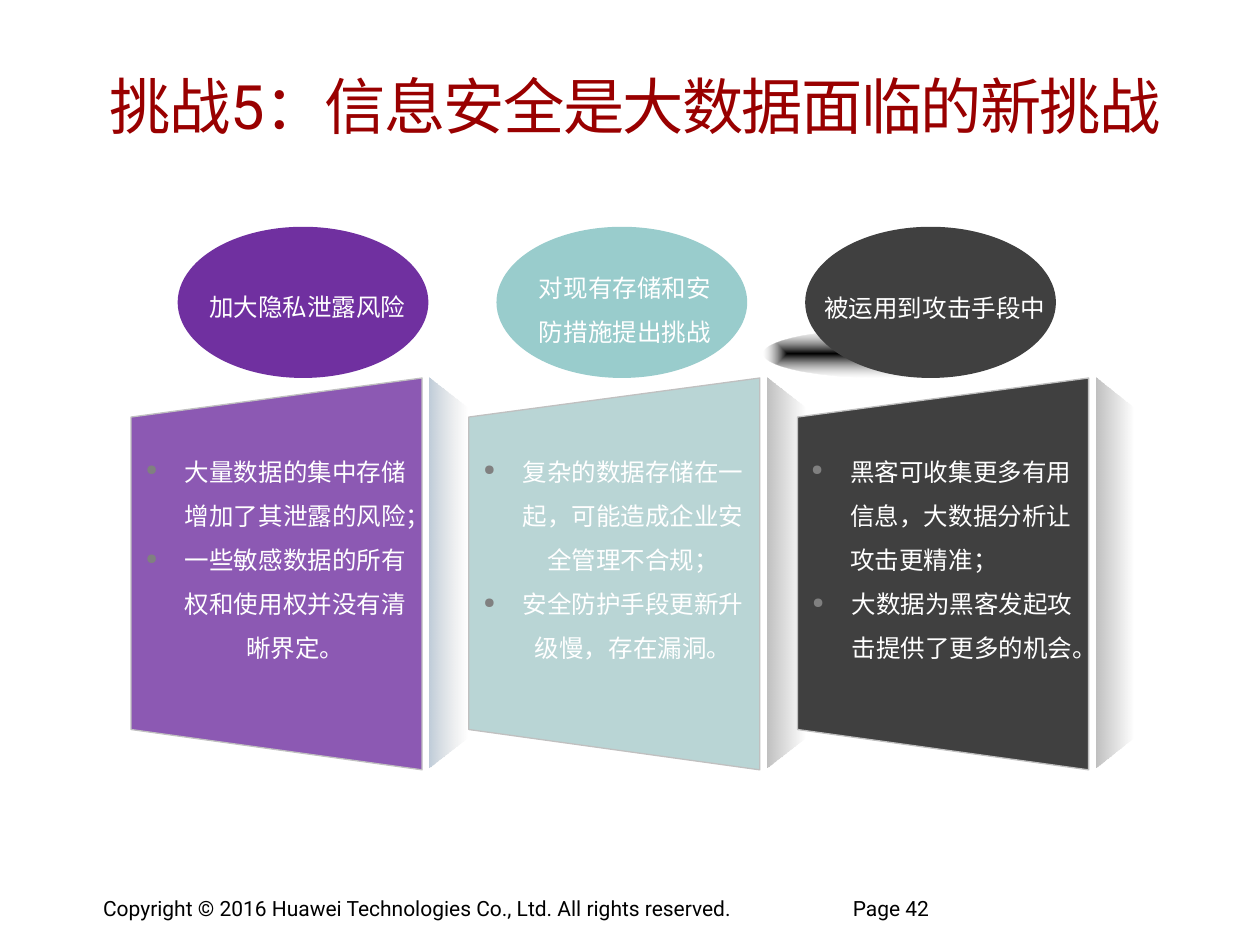
from dataclasses import dataclass

from pptx import Presentation
from pptx.dml.color import RGBColor
from pptx.enum.shapes import MSO_SHAPE
from pptx.enum.text import MSO_ANCHOR, MSO_AUTO_SIZE, PP_ALIGN
from pptx.oxml import parse_xml
from pptx.oxml.ns import nsdecls, qn
from pptx.util import Inches, Pt

OVAL = MSO_SHAPE.OVAL
MIDDLE = MSO_ANCHOR.MIDDLE
FIT_SHAPE = MSO_AUTO_SIZE.SHAPE_TO_FIT_TEXT
NO_FIT = MSO_AUTO_SIZE.NONE
LEFT, CENTER = PP_ALIGN.LEFT, PP_ALIGN.CENTER

PURPLE = RGBColor(0x70, 0x30, 0xA0)
TEAL = RGBColor(0x99, 0xCC, 0xCC)
PALE_TEAL = RGBColor(0xB9, 0xD5, 0xD5)
CHARCOAL = RGBColor(0x40, 0x40, 0x40)
NAVY = RGBColor(0x00, 0x33, 0x66)
SLATE = RGBColor(0x5F, 0x5F, 0x5F)
SILVER = RGBColor(0xC0, 0xC0, 0xC0)
ASH = RGBColor(0xB0, 0xB0, 0xB0)
GRAY = RGBColor(0x80, 0x80, 0x80)
DARK_RED = RGBColor(0x99, 0x00, 0x00)
BLACK = RGBColor(0x00, 0x00, 0x00)
WHITE = RGBColor(0xFF, 0xFF, 0xFF)

CJK_FONT = "Noto Sans CJK SC"
BODY = {"name": "Noto Sans", "size": Pt(14)}
FOOTER = {"name": "Roboto", "size": Pt(12)}
LINEAR = '<a:lin ang="0" scaled="0"/>'
RADIAL = ('<a:path path="shape"><a:fillToRect l="50000" t="50000" '
          'r="50000" b="50000"/></a:path>')


@dataclass
class Challenge:
    left: float
    oval_left: float
    label_box: tuple
    label: str
    points: list
    aligns: tuple
    oval_color: RGBColor
    panel_color: RGBColor
    panel_alpha: int
    fade: tuple


CHALLENGES = [
    Challenge(1.04, 1.41, (1.53, 2.15, 1.82, 0.45), "加大隐私泄露风险",
              ["大量数据的集中存储增加了其泄露的风险；",
               "一些敏感数据的所有权和使用权并没有清晰界定。"],
              (CENTER, CENTER), PURPLE, PURPLE, 80, (NAVY, SLATE)),
    Challenge(3.72, 3.94, (4.12, 2, 1.68, 0.76), "对现有存储和安防措施提出挑战",
              ["复杂的数据存储在一起，可能造成企业安全管理不合规；",
               "安全防护手段更新升级慢，存在漏洞。"],
              (CENTER, CENTER), TEAL, PALE_TEAL, 100, (BLACK, BLACK)),
    Challenge(6.33, 6.39, (6.38, 2.16, 2.08, 0.45), "被运用到攻击手段中",
              ["黑客可收集更多有用信息，大数据分析让攻击更精准；",
               "大数据为黑客发起攻击提供了更多的机会。"],
              (LEFT, CENTER), CHARCOAL, CHARCOAL, 100, (BLACK, BLACK)),
]


def add_span(para, text, color, formats):
    span = para.add_run()
    span.text = text
    for name, value in formats.items():
        setattr(span.font, name, value)
    span.font.color.rgb = color
    properties = span.font._element
    properties.append(parse_xml(f'<a:ea {nsdecls("a")} typeface="{CJK_FONT}"/>'))
    return properties


def add_text(page, box, paragraphs, aligns, color, formats,
             spacing=None, bullets=False, wrap=True):
    frame = page.shapes.add_textbox(*map(Inches, box)).text_frame
    frame.word_wrap = wrap
    frame.auto_size = FIT_SHAPE
    for index, text in enumerate(paragraphs):
        para = frame.add_paragraph() if index else frame.paragraphs[0]
        if bullets:
            add_bullet(para)
        para.alignment = aligns[index]
        if spacing:
            para.line_spacing = spacing
        add_span(para, text, color, formats)


def add_bullet(para):
    properties = para._p.get_or_add_pPr()
    properties.set("marL", str(Inches(0.31)))
    properties.set("indent", str(-Inches(0.31)))
    for item in (f'<a:buClr {nsdecls("a")}><a:srgbClr val="{GRAY}"/></a:buClr>',
                 f'<a:buSzPct {nsdecls("a")} val="60000"/>',
                 f'<a:buChar {nsdecls("a")} char="●"/>'):
        properties.append(parse_xml(item))


def fill_solid(shape, color, alpha=100):
    shape.shadow.inherit = False
    shape.line.fill.background()
    shape.fill.solid()
    shape.fill.fore_color.rgb = color
    if alpha < 100:
        shade = shape.element.spPr.find(qn("a:solidFill"))[0]
        shade.append(parse_xml(f'<a:alpha {nsdecls("a")} val="{alpha * 1000}"/>'))


def fill_fade(shape, colors, alpha, direction):
    shape.shadow.inherit = False
    shape.line.fill.background()
    shape.fill.background()
    stops = "".join(
        f'<a:gs pos="{place}"><a:srgbClr val="{color}">'
        f'<a:alpha val="{opacity * 1000}"/></a:srgbClr></a:gs>'
        for place, color, opacity in zip((0, 100000), colors, (alpha, 0)))
    properties = shape.element.spPr
    properties.replace(
        properties.find(qn("a:noFill")),
        parse_xml(f'<a:gradFill {nsdecls("a")} rotWithShape="1">'
                  f'<a:gsLst>{stops}</a:gsLst>{direction}</a:gradFill>'))


def add_outline(page, points):
    corners = [(Inches(x), Inches(y)) for x, y in points]
    builder = page.shapes.build_freeform(*corners[0], scale=1.0)
    builder.add_line_segments(corners[1:], close=True)
    return builder.convert_to_shape()


def add_oval(page, box):
    return page.shapes.add_shape(OVAL, *map(Inches, box))


def add_panel(page, challenge, top=3, bottom=6.11):
    left = challenge.left
    right = left + 2.31
    panel = add_outline(page, [(right, top), (left, top + 0.31),
                               (left, bottom - 0.32), (right, bottom)])
    fill_solid(panel, challenge.panel_color, challenge.panel_alpha)
    panel.line.color.rgb = SILVER
    panel.line.width = Pt(0.75)
    near, far = left + 2.37, left + 2.67
    side = add_outline(page, [(near, bottom - 0.02), (far, bottom - 0.26),
                              (far, top + 0.24), (near, top)])
    fill_fade(side, challenge.fade, 25, LINEAR)


def add_challenge(page, challenge):
    add_panel(page, challenge)
    add_text(page, (challenge.left + 0.01, 3.46, 2.28, 1.87), challenge.points,
             challenge.aligns, WHITE, BODY, spacing=1.5, bullets=True)
    oval = add_oval(page, (challenge.oval_left, 1.8, 1.99, 1.2))
    fill_solid(oval, challenge.oval_color)
    add_text(page, challenge.label_box, [challenge.label], [CENTER],
             WHITE, BODY, spacing=1.5)


def add_title(page, box):
    title = page.shapes.title
    title.left, title.top, title.width, title.height = map(Inches, box)
    frame = title.text_frame
    formats = {"margin_left": 0, "margin_right": Inches(0.09),
               "margin_top": Inches(0.04), "margin_bottom": Inches(0.04),
               "vertical_anchor": MIDDLE, "word_wrap": True, "auto_size": NO_FIT}
    for name, value in formats.items():
        setattr(frame, name, value)
    para = frame.paragraphs[0]
    para.alignment = LEFT
    for text, font in (("挑战", CJK_FONT), ("5", "Roboto"),
                       ("：信息安全是大数据面临的新挑战", CJK_FONT)):
        properties = add_span(para, text, DARK_RED, {"name": font, "size": Pt(35)})
        properties.set("spc", "-100")


def add_footer(page, top):
    for left, width, text in (
            (0.72, 5.27, "Copyright © 2016 Huawei Technologies Co., Ltd. All rights reserved."),
            (6.67, 0.82, "Page 42")):
        add_text(page, (left, top, width, 0.29), [text], [LEFT], BLACK, FOOTER, wrap=False)


def main():
    deck = Presentation()
    deck.slide_width, deck.slide_height = Inches(10), Inches(7.5)
    page = deck.slides.add_slide(deck.slide_layouts[5])
    add_title(page, (0.87, 0.36, 8.8, 0.95))
    add_footer(page, 7.06)
    fill_fade(add_oval(page, (6.06, 2.62, 1.93, 0.38)), (BLACK, ASH), 100, RADIAL)
    for challenge in CHALLENGES:
        add_challenge(page, challenge)
    deck.save("out.pptx")


if __name__ == "__main__":
    main()
